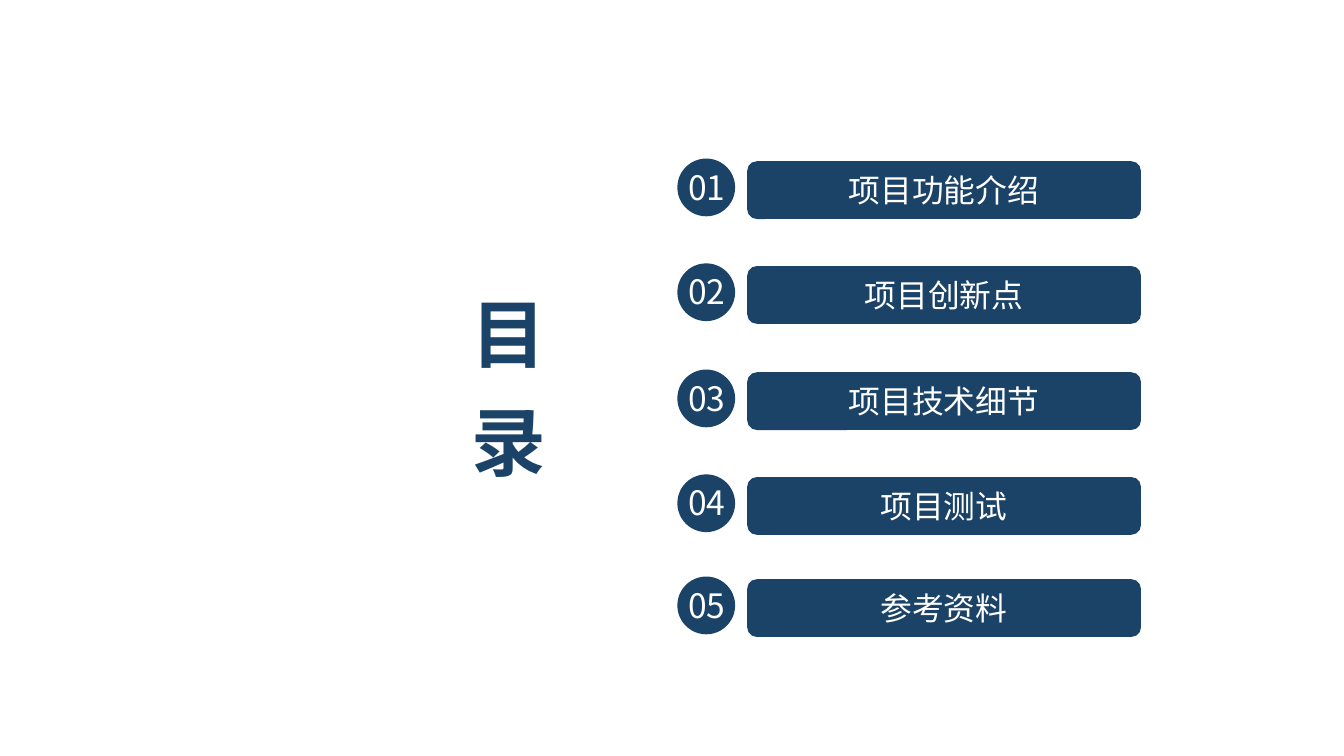
import pptx
import pptx.dml.color
import pptx.enum.shapes
import pptx.enum.text
import pptx.oxml.ns
import pptx.util
from lxml import etree
from pptx.util import Inches

COLORS = {"navy": "1B4367", "white": "FFFFFF"}
FONT = "Noto Sans CJK SC"
SHAPES = pptx.enum.shapes.MSO_SHAPE
CENTER = pptx.enum.text.PP_ALIGN.CENTER
CHAPTERS = [
    (1.2, "项目功能介绍"),
    (1.98, "项目创新点"),
    (2.77, "项目技术细节"),
    (3.55, "项目测试"),
    (4.31, "参考资料"),
]


def color(name):
    return pptx.dml.color.RGBColor.from_string(COLORS[name])


def write(box, text, size, color_name, align=None, bold=None):
    frame = box.text_frame
    frame.word_wrap = True
    frame.auto_size = pptx.enum.text.MSO_AUTO_SIZE.SHAPE_TO_FIT_TEXT
    para = frame.paragraphs[0]
    para.alignment = align
    span = para.add_run()
    span.text = text
    span.font.size = pptx.util.Pt(size)
    span.font.bold = bold
    span.font.color.rgb = color(color_name)
    span.font.name = FONT
    east_asian = etree.SubElement(span.font._element, pptx.oxml.ns.qn("a:ea"))
    east_asian.set("typeface", FONT)
    return span


def add_filled(owner, kind, left, top, width, height):
    shape = owner.shapes.add_shape(
        kind, Inches(left), Inches(top), Inches(width), Inches(height))
    shape.shadow.inherit = False
    shape.fill.solid()
    shape.fill.fore_color.rgb = color("navy")
    shape.line.fill.background()
    return shape


def add_text(owner, left, top, width, height):
    return owner.shapes.add_textbox(
        Inches(left), Inches(top), Inches(width), Inches(height))


def add_title(page):
    box = add_text(page, 3.28, 2.11, 0.87, 2.42)
    span = write(box, "目 录", 40, "navy", bold=True)
    span.font._element.set("spc", "420")
    box.text_frame._txBody.bodyPr.set("vert", "eaVert")


def add_number(page, number, top):
    badge = page.shapes.add_group_shape()
    add_filled(badge, SHAPES.OVAL, 5.04, top, 0.43, 0.43)
    label = add_text(badge, 5, top + 0.01, 0.52, 0.4)
    write(label, f"{number:02d}", 18, "white", CENTER)


def add_chapter(page, number, top, name):
    bar = add_filled(page, SHAPES.ROUNDED_RECTANGLE, 5.56, top, 2.93, 0.43)
    write(bar, name, 17, "white", CENTER)
    add_number(page, number, top - 0.02)


def main():
    deck = pptx.Presentation()
    deck.slide_width = Inches(10)
    deck.slide_height = deck.slide_width * 9 // 16
    page = deck.slides.add_slide(deck.slide_layouts[6])
    add_title(page)
    for number, (top, name) in enumerate(CHAPTERS, 1):
        add_chapter(page, number, top, name)
    deck.save("out.pptx")


if __name__ == "__main__":
    main()
